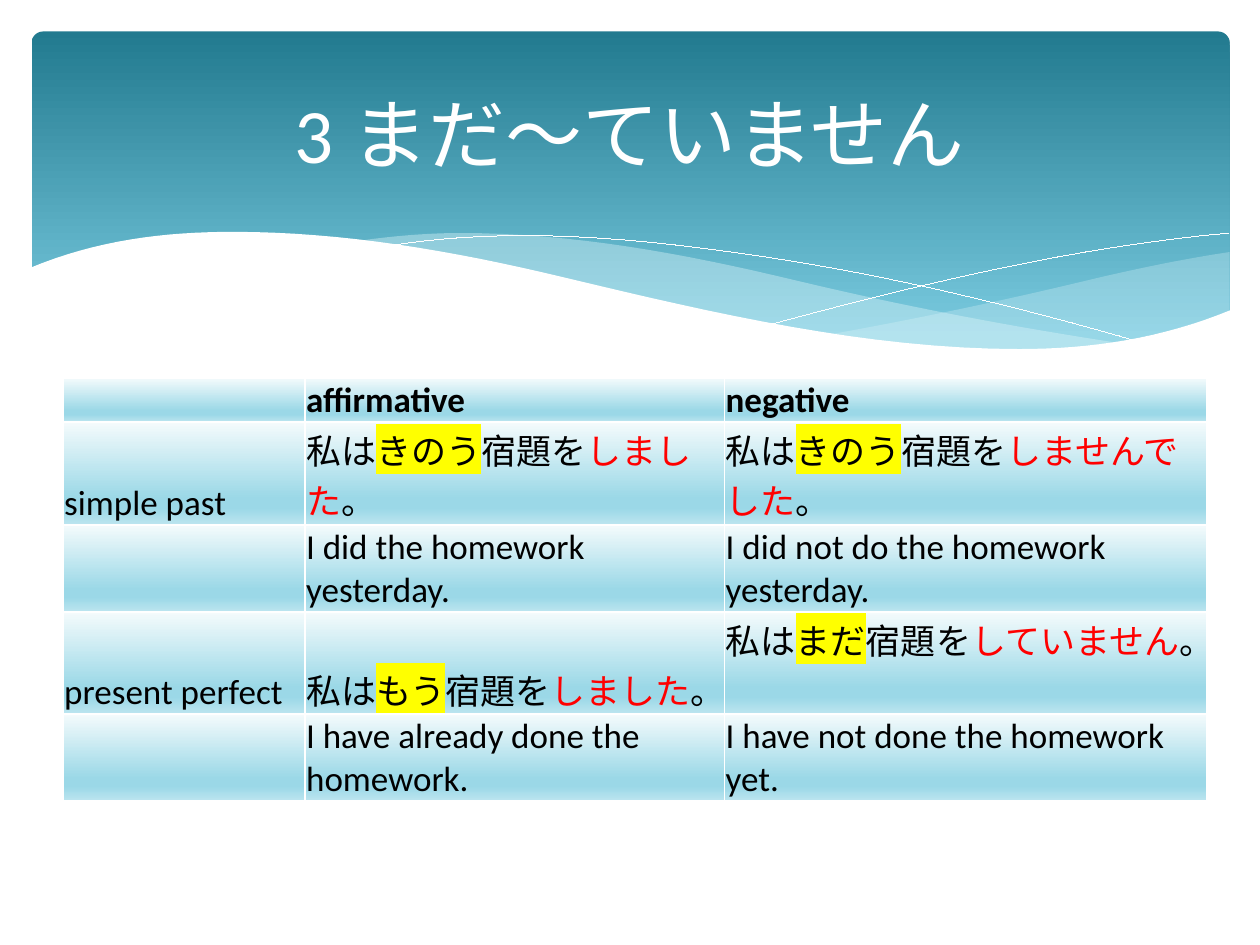
from itertools import pairwise, product

from pptx import Presentation
from pptx import util as u
from pptx.dml import color
from pptx.enum import shapes, text
from pptx.oxml import ns
from lxml import etree


def rgb(value):
    return color.RGBColor.from_string(value)


def curve(knots, steps=16):
    """Points of a smooth line through (x, y, slope) knots, one cubic between each two."""
    points = [knots[0][:2]]
    for (x0, y0, slope0), (x1, y1, slope1) in pairwise(knots):
        run, rise = x1 - x0, y1 - y0
        for step in range(1, steps + 1):
            t = step / steps
            bend = t * (1 - t) * ((1 - t) * (slope0 * run - rise) + t * (rise - slope1 * run))
            points.append((x0 + t * run, y0 + t * rise + bend))
    return points


FONT = "Calibri"
BLACK, WHITE, RED, YELLOW, PALE_BLUE = "000000", "FFFFFF", "FF0000", "FFFF00", "DEF5FA"
BANNER_STOPS = [(0, "227A8F"), (90, "7ACBE0")]
CELL_STOPS = [(0, "F4FBFC"), (74, "9BD8E7"), (83, "9BD8E7"), (100, "BCE5EF")]

deck = Presentation()
deck.slide_width, deck.slide_height = u.Inches(10), u.Inches(7.5)
page = deck.slides.add_slide(deck.slide_layouts[6])
gradients = []  # (fill, XML parent of the fill, stops), all painted in one loop below

# Banner
banner = page.shapes.add_shape(
    shapes.MSO_SHAPE.ROUNDED_RECTANGLE,
    u.Inches(0.25), u.Inches(0.25), u.Inches(9.51), u.Inches(2.7))
banner.adjustments[0] = 0.034
banner.shadow.inherit = False
banner.line.fill.background()
gradients.append((banner.fill, banner._element.spPr, BANNER_STOPS))

# Waves: each edge is a list of (x, y, slope) knots; crests and troughs have slope 0
right_swell = [
    [(9.76, 2, -0.15), (8.61, 2.23, -0.24), (6.61, 2.65, -0.18)],
    [(6.61, 2.65, 0.14), (8.05, 2.78, 0), (9.76, 2.47, -0.38)],
]
left_swell = [
    [(2.86, 1.91, -0.14), (3.66, 1.85, 0), (6.29, 2.22, 0.24), (8.93, 2.73, 0.15)],
    [(8.93, 2.73, -0.11), (8.1, 2.78, 0), (4.49, 2.22, 0.23), (2.86, 1.91, 0.14)],
]
falling_line = [[(3.09, 1.95, -0.16), (4.16, 1.87, 0), (6.08, 2.04, 0.15), (9.07, 2.72, 0.29)]]
rising_line = [[(6.13, 2.57, -0.27), (9.75, 1.85, -0.09)]]
white_wave = [
    [(0.23, 2.13, -0.42), (1.85, 1.84, 0), (4.47, 2.2, 0.24), (8.09, 2.77, 0), (9.77, 2.46, -0.41)],
    [(9.77, 3.29, 0), (0.23, 3.29, 0)],
]
waves = [  # edges, fill colour (None for an open line), opacity in percent
    (right_swell, PALE_BLUE, 29),
    (left_swell, PALE_BLUE, 40),
    (falling_line, None, 100),
    (rising_line, None, 100),
    (white_wave, WHITE, 100),
]
for edges, fill_colour, opacity in waves:
    points = [(u.Inches(x), u.Inches(y)) for edge in edges for x, y in curve(edge)]
    builder = page.shapes.build_freeform(*points[0])
    builder.add_line_segments(points[1:], close=fill_colour is not None)
    wave = builder.convert_to_shape()
    wave.shadow.inherit = False
    if fill_colour is None:
        wave.fill.background()
        wave.line.color.rgb = rgb(WHITE)
        wave.line.width = u.Pt(0.01)
        continue
    wave.fill.solid()
    wave.fill.fore_color.rgb = rgb(fill_colour)
    wave.line.fill.background()
    if opacity < 100:
        tint = wave._element.spPr.find(".//" + ns.qn("a:srgbClr"))
        etree.SubElement(tint, ns.qn("a:alpha"), val=str(opacity * 1000))

# Table: a pair is (time word, verb) of the homework sentence
rows = [
    ["", "affirmative", "negative"],
    ["simple past", ("きのう", "しました"), ("きのう", "しませんでした")],
    ["", "I did the homework yesterday.", "I did not do the homework yesterday."],
    ["present perfect", ("もう", "しました"), ("まだ", "していません")],
    ["", "I have already done the homework.", "I have not done the homework yet."],
]
column_widths = [1.92, 3.33, 3.83]
row_heights = [0.35, 0.44, 0.44, 0.81, 0.35]
top_aligned_cell = (3, 2)
cell_margins = {
    "margin_left": u.Inches(0.01), "margin_right": u.Inches(0.01),
    "margin_top": u.Inches(0.01), "margin_bottom": 0,
}
table = page.shapes.add_table(
    len(rows), len(column_widths), u.Inches(0.5), u.Inches(3),
    u.Inches(sum(column_widths)), u.Inches(sum(row_heights))).table
table.first_row = table.horz_banding = False
for column, width in zip(table.columns, column_widths):
    column.width = u.Inches(width)
for row, height in zip(table.rows, row_heights):
    row.height = u.Inches(height)

for i, j in product(range(len(rows)), range(len(column_widths))):
    cell, content = table.cell(i, j), rows[i][j]
    for name, value in cell_margins.items():
        setattr(cell, name, value)
    at_top = (i, j) == top_aligned_cell
    cell.vertical_anchor = text.MSO_ANCHOR.TOP if at_top else text.MSO_ANCHOR.BOTTOM
    properties = cell._tc.get_or_add_tcPr()
    for side in ("lnL", "lnR", "lnT", "lnB"):
        border = etree.SubElement(properties, ns.qn("a:" + side), w=str(u.Pt(1)))
        paint = etree.SubElement(border, ns.qn("a:solidFill"))
        etree.SubElement(paint, ns.qn("a:srgbClr"), val=WHITE)
    gradients.append((cell.fill, properties, CELL_STOPS))

    pieces = [(content, BLACK, False)] if content else []
    if isinstance(content, tuple):
        time_word, verb = content
        pieces = [("私は", BLACK, False), (time_word, BLACK, True),
                  ("宿題を", BLACK, False), (verb, RED, False), ("。", BLACK, False)]
    para = cell.text_frame.paragraphs[0]
    for words, text_colour, highlighted in pieces:
        span = para.add_run()
        span.text = words
        span.font.color.rgb = rgb(text_colour)
        if highlighted:
            marker = etree.SubElement(span._r.get_or_add_rPr(), ns.qn("a:highlight"))
            etree.SubElement(marker, ns.qn("a:srgbClr"), val=YELLOW)
        for name, value in {"name": FONT, "size": u.Pt(20), "bold": i == 0}.items():
            setattr(span.font, name, value)

# Gradients of the banner and the cells, running from top to bottom
for fill, owner, stops in gradients:
    fill.gradient()
    fill.gradient_angle = 270
    gradient = owner.find(ns.qn("a:gradFill"))
    if owner.tag == ns.qn("a:tcPr"):
        owner.append(gradient)  # a cell's fill comes after its borders
    stop_list = gradient.find(ns.qn("a:gsLst"))
    for old_stop in list(stop_list):
        stop_list.remove(old_stop)
    for percent, value in stops:
        stop = etree.SubElement(stop_list, ns.qn("a:gs"), pos=str(percent * 1000))
        etree.SubElement(stop, ns.qn("a:srgbClr"), val=value)

# Title
box = page.shapes.add_textbox(u.Inches(0.5), u.Inches(0.37), u.Inches(9), u.Inches(1.37))
box.text_frame.word_wrap = True
box.text_frame.vertical_anchor = text.MSO_ANCHOR.MIDDLE
para = box.text_frame.paragraphs[0]
para.alignment = text.PP_ALIGN.CENTER
span = para.add_run()
span.text = "3 まだ～ていません"
span.font.color.rgb = rgb(WHITE)
for name, value in {"name": FONT, "size": u.Pt(44)}.items():
    setattr(span.font, name, value)

deck.save("out.pptx")
